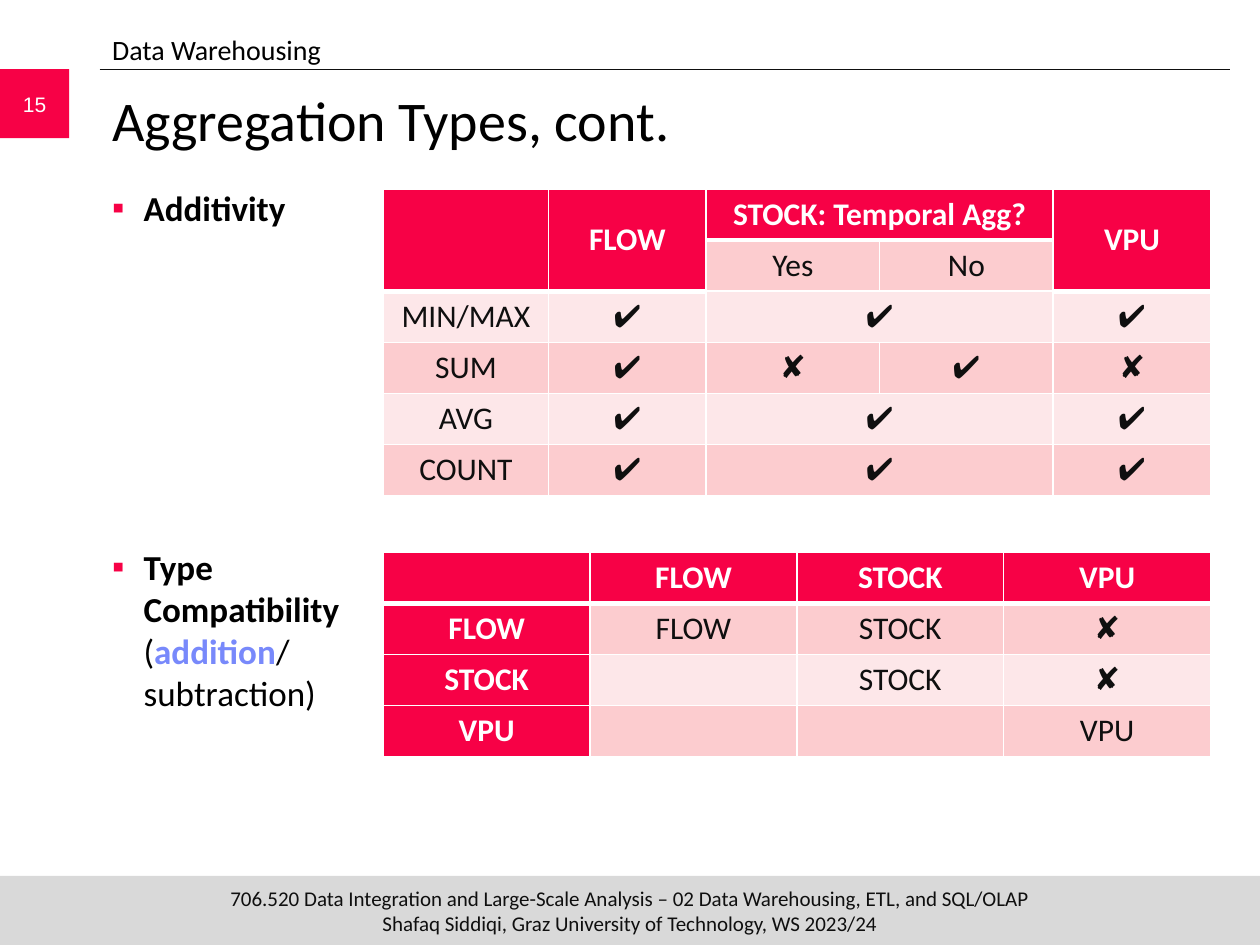
from dataclasses import dataclass

from lxml import etree
from pptx import Presentation
from pptx.dml.color import RGBColor
from pptx.enum import shapes, text
from pptx.oxml import ns
from pptx.util import Pt


@dataclass(frozen=True)
class Theme:
    accent: str = "F70146"
    highlight: str = "7889FB"
    ink: str = "0F0F0F"
    black: str = "000000"
    white: str = "FFFFFF"
    footer: str = "D9D9D9"
    dark_band: str = "FCCCCF"
    light_band: str = "FDE7E9"
    font: str = "Calibri"
    number_font: str = "Arial"
    title: int = 32
    body: int = 20
    table: int = 18
    section: int = 16
    small: int = 12


THEME = Theme()
LEFT = 57
TABLE_LEFT = 219
ROW_HEIGHT = 29.2


def rgb(color):
    return RGBColor.from_string(color)


def style(font, size, color, bold=False, name=THEME.font):
    font.size, font.bold, font.name = Pt(size), bold, name
    font.color.rgb = rgb(color)


def add_panel(page, box, fill, words, color, name=THEME.font):
    panel = page.shapes.add_shape(shapes.MSO_SHAPE.RECTANGLE, *map(Pt, box))
    panel.shadow.inherit = False
    panel.fill.solid()
    panel.fill.fore_color.rgb = rgb(fill)
    panel.line.fill.background()
    frame = panel.text_frame
    frame.margin_left = frame.margin_right = frame.margin_top = frame.margin_bottom = 0
    frame.vertical_anchor = text.MSO_ANCHOR.MIDDLE
    para = frame.paragraphs[0]
    para.text = words
    para.alignment = text.PP_ALIGN.CENTER
    style(para.font, THEME.small, color, name=name)


def add_rule(page, left, right, top):
    rule = page.shapes.add_connector(
        shapes.MSO_CONNECTOR.STRAIGHT, Pt(left), Pt(top), Pt(right), Pt(top))
    rule.line.color.rgb = rgb(THEME.ink)
    rule.line.width = Pt(0.5)
    etree.SubElement(rule._element.spPr, ns.qn("a:effectLst"))


def add_text_frame(page, box):
    frame = page.shapes.add_textbox(*map(Pt, box)).text_frame
    frame.word_wrap = True
    return frame


def add_line_of_text(page, box, words, size):
    para = add_text_frame(page, box).paragraphs[0]
    para.text = words
    style(para.font, size, THEME.black)


def add_bullet(para, lines, space_before=0):
    para.space_before = Pt(space_before)
    props = para._p.get_or_add_pPr()
    props.set("marL", str(Pt(18)))
    props.set("indent", str(-Pt(18)))
    color = etree.SubElement(props, ns.qn("a:buClr"))
    etree.SubElement(color, ns.qn("a:srgbClr"), val=THEME.accent)
    etree.SubElement(props, ns.qn("a:buFont"), typeface=THEME.number_font)
    etree.SubElement(props, ns.qn("a:buChar"), char="▪")
    style(para.font, THEME.body, THEME.black)
    for index, line in enumerate(lines):
        if index:
            para.add_line_break()
        for words, bold, color in line:
            span = para.add_run()
            span.text = words
            span.font.bold = bold
            span.font.color.rgb = rgb(color)


def set_borders(cell, first_row, bottom):
    props = cell._tc.get_or_add_tcPr()
    widths = {"lnL": 1, "lnR": 1, "lnT": 1, "lnB": bottom}
    if not first_row:
        del widths["lnT"]
    for index, (tag, width) in enumerate(widths.items()):
        line = etree.Element(ns.qn(f"a:{tag}"), w=str(Pt(width)))
        fill = etree.SubElement(line, ns.qn("a:solidFill"))
        etree.SubElement(fill, ns.qn("a:srgbClr"), val=THEME.white)
        props.insert(index, line)


def fill_cell(cell, words, is_head, band, mark_font):
    cell.fill.solid()
    cell.fill.fore_color.rgb = rgb(THEME.accent if is_head else band)
    cell.vertical_anchor = text.MSO_ANCHOR.MIDDLE
    para = cell.text_frame.paragraphs[0]
    para.text = words
    para.alignment = text.PP_ALIGN.CENTER
    style(para.font, THEME.table, THEME.white if is_head else THEME.ink, is_head,
          mark_font if words in ("✔", "✘") else THEME.font)


def add_grid(page, top, widths, rows, head_depths, label_heads=False,
             merges=(), mark_font=THEME.font):
    grid = page.shapes.add_table(
        len(rows), len(widths), Pt(TABLE_LEFT), Pt(top),
        Pt(sum(widths)), Pt(ROW_HEIGHT * len(rows))).table
    for column, width in zip(grid.columns, widths):
        column.width = Pt(width)
    for index, row in enumerate(rows):
        grid.rows[index].height = Pt(ROW_HEIGHT)
        band = THEME.dark_band if index % 2 else THEME.light_band
        for place, words in enumerate(row):
            cell = grid.cell(index, place)
            in_head = index < head_depths[place]
            is_head = in_head or (label_heads and place == 0)
            fill_cell(cell, words, is_head, band, mark_font)
            set_borders(cell, index == 0, 3 if in_head else 1)
    for start, end in merges:
        grid.cell(*start).merge(grid.cell(*end))


def add_topics(page):
    frame = add_text_frame(page, (LEFT, 103, 645, 389))
    add_bullet(frame.paragraphs[0], [[("Additivity", True, THEME.black)]])
    add_bullet(frame.add_paragraph(), [
        [("Type ", True, THEME.black)],
        [("Compatibility", True, THEME.black)],
        [("(", False, THEME.black), ("addition", True, THEME.highlight),
         ("/", False, THEME.black)],
        [("subtraction)", False, THEME.black)],
    ], space_before=181)


def add_additivity(page):
    rows = [
        ["", "FLOW", "STOCK: Temporal Agg?", "", "VPU"],
        ["", "", "Yes", "No", ""],
        ["MIN/MAX", "✔", "✔", "", "✔"],
        ["SUM", "✔", "✘", "✔", "✘"],
        ["AVG", "✔", "✔", "", "✔"],
        ["COUNT", "✔", "✔", "", "✔"],
    ]
    merges = [((0, column), (1, column)) for column in (0, 1, 4)]
    merges += [((row, 2), (row, 3)) for row in (0, 2, 4, 5)]
    add_grid(page, 108, [94.5, 90, 99.2, 99.2, 90], rows, [2, 2, 1, 1, 2], merges=merges)


def add_compatibility(page):
    rows = [
        ["", "FLOW", "STOCK", "VPU"],
        ["FLOW", "FLOW", "STOCK", "✘"],
        ["STOCK", "", "STOCK", "✘"],
        ["VPU", "", "", "VPU"],
    ]
    add_grid(page, 315.5, [118.2] * 4, rows, [1] * 4, label_heads=True,
             mark_font=THEME.number_font)


def main():
    deck = Presentation()
    deck.slide_width, deck.slide_height = Pt(720), Pt(540)
    page = deck.slides.add_slide(deck.slide_layouts[6])
    add_panel(page, (0, 500.5, 720, 39.5), THEME.footer,
              "706.520 Data Integration and Large-Scale Analysis – "
              "02 Data Warehousing, ETL, and SQL/OLAP\v"
              "Shafaq Siddiqi, Graz University of Technology, WS 2023/24", THEME.ink)
    add_rule(page, LEFT, 703, 39.5)
    add_panel(page, (0, 39.5, 39.5, 39.5), THEME.accent, "15", THEME.white,
              THEME.number_font)
    add_line_of_text(page, (LEFT, 45.5, 645, 60), "Aggregation Types, cont.", THEME.title)
    add_topics(page)
    add_line_of_text(page, (LEFT, 15, 648, 26), "Data Warehousing", THEME.section)
    add_additivity(page)
    add_compatibility(page)
    deck.save("out.pptx")


if __name__ == "__main__":
    main()
